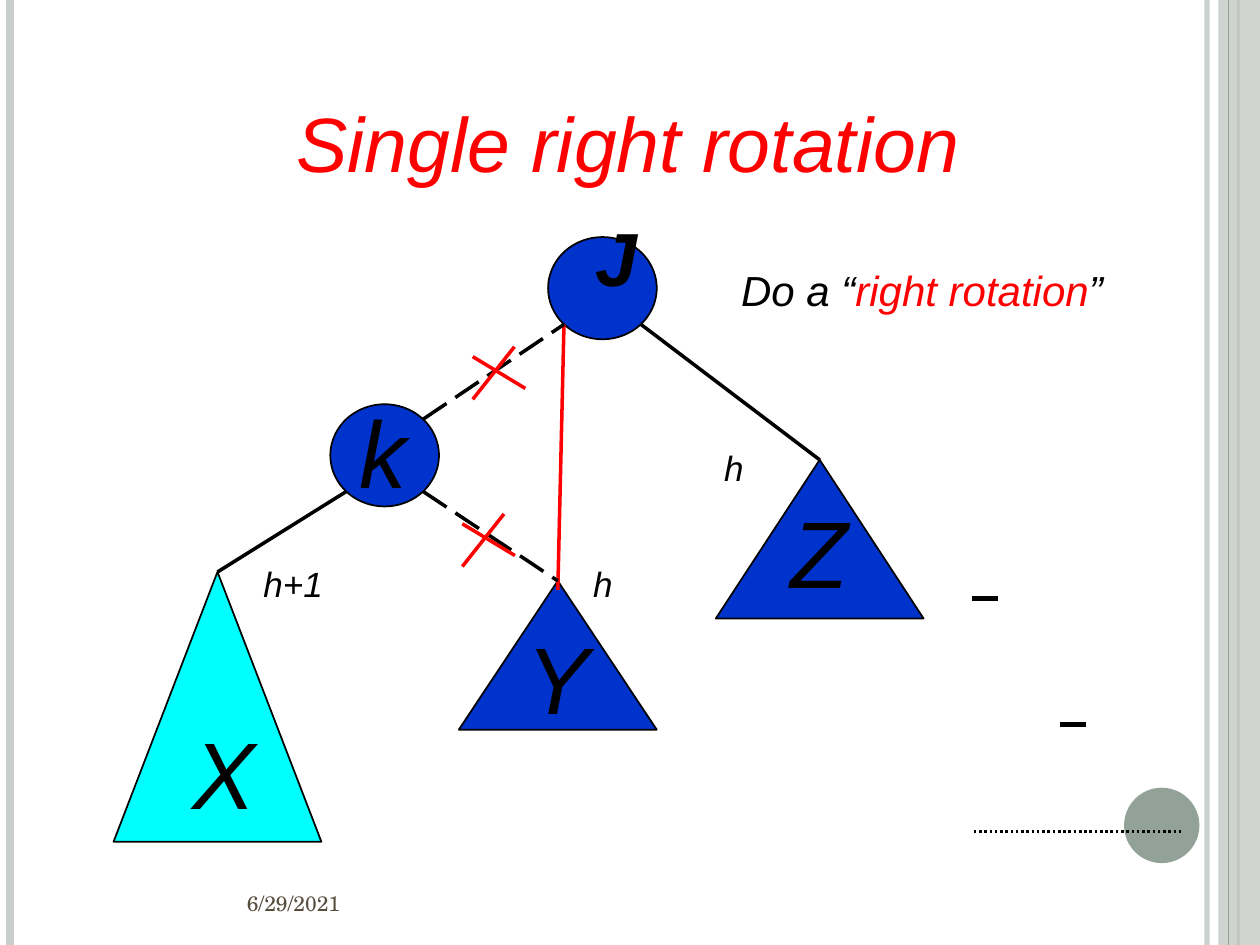
from dataclasses import dataclass

import lxml.etree
import pptx
import pptx.dml.color
import pptx.enum.dml
import pptx.enum.shapes
import pptx.enum.text
import pptx.oxml.ns
import pptx.util

Cm = pptx.util.Cm
Pt = pptx.util.Pt
Shapes = pptx.enum.shapes.MSO_SHAPE
Dashes = pptx.enum.dml.MSO_LINE
Align = pptx.enum.text.PP_ALIGN
Anchor = pptx.enum.text.MSO_ANCHOR


@dataclass(frozen=True)
class Theme:
    black: str = "000000"
    red: str = "FF0000"
    blue: str = "0033CC"
    cyan: str = "00FFFF"
    pale: str = "C8CECA"
    sage: str = "93A299"
    brown: str = "564B3C"
    font: str = "Arial"
    date_font: str = "TeX Gyre Schola"
    title_size: int = 44
    node_size: int = 54
    capital_size: int = 43
    note_size: int = 24
    height_size: int = 20
    date_size: int = 12


THEME = Theme()


def rgb(color):
    return pptx.dml.color.RGBColor.from_string(color)


def add_element(parent, tag, **attributes):
    element = lxml.etree.SubElement(parent, pptx.oxml.ns.qn(tag))
    for name, value in attributes.items():
        element.set(name, str(value))
    return element


def set_opacity(properties, percent):
    for color in properties.iter(pptx.oxml.ns.qn("a:srgbClr")):
        add_element(color, "a:alpha", val=percent * 1000)


def draw_line(slide, start, end, color=THEME.black, width=2, dash=None):
    connector = slide.shapes.add_connector(
        pptx.enum.shapes.MSO_CONNECTOR.STRAIGHT, *map(Cm, (*start, *end)))
    connector.line.color.rgb = rgb(color)
    connector.line.width = Pt(width)
    if dash:
        connector.line.dash_style = dash
    add_element(connector._element.spPr, "a:effectLst")
    return connector


def draw_shape(slide, kind, box, fill, outline=None):
    shape = slide.shapes.add_shape(kind, *map(Cm, box))
    shape.shadow.inherit = False
    shape.fill.solid()
    shape.fill.fore_color.rgb = rgb(fill)
    if outline:
        shape.line.color.rgb = rgb(outline)
        shape.line.width = Pt(1)
    else:
        shape.line.fill.background()
    return shape


def prepare_frame(shape, **changes):
    formats = {"word_wrap": True, "margin_left": 0, "margin_right": 0,
               "margin_top": Cm(0.03), "margin_bottom": 0,
               "vertical_anchor": Anchor.TOP,
               "auto_size": pptx.enum.text.MSO_AUTO_SIZE.NONE}
    for name, value in {**formats, **changes}.items():
        setattr(shape.text_frame, name, value)
    return shape.text_frame


def add_run(paragraph, text, size, color=THEME.black, **changes):
    run = paragraph.add_run()
    run.text = text
    formats = {"name": THEME.font, "size": Pt(size), "italic": True, "bold": False}
    for name, value in {**formats, **changes}.items():
        setattr(run.font, name, value)
    run.font.color.rgb = rgb(color)


def add_text_box(slide, box, **frame_changes):
    return prepare_frame(slide.shapes.add_textbox(*map(Cm, box)), **frame_changes)


def add_label(slide, box, text, size, **changes):
    add_run(add_text_box(slide, box).paragraphs[0], text, size, **changes)


def set_tabs(paragraph, *positions):
    tab_list = add_element(paragraph._p.get_or_add_pPr(), "a:tabLst")
    for position in positions:
        add_element(tab_list, "a:tab", pos=int(Cm(position)), algn="l")


def draw_side_bands(slide, width, height):
    def rule(x, color, weight):
        return draw_line(slide, (x, 0), (x, height), color, weight)

    set_opacity(rule(width - 1.07, THEME.pale, 3)._element.spPr, 93)
    rule(0.2, THEME.pale, 4.5)
    rule(width - 0.43, THEME.sage, 1.5)
    band = draw_shape(slide, Shapes.RECTANGLE, (width - 0.84, 0, 0.84, height), THEME.pale)
    set_opacity(band._element.spPr, 87)
    rule(width - 0.63, THEME.sage, 0.75)
    draw_shape(slide, Shapes.OVAL, (width - 2.74, height - 3.17, 1.52, 1.52), THEME.sage)


def draw_title(slide, box):
    title = slide.shapes.title
    title.left, title.top, title.width, title.height = map(Cm, box)
    paragraph = prepare_frame(title).paragraphs[0]
    paragraph.alignment = Align.LEFT
    add_run(paragraph, "Single right rotation", THEME.title_size, THEME.red)


def circle_point(circle, right, bottom):
    """Point on the circle on the diagonal towards one corner of its box."""
    left, top, width, height = circle
    return (left + width * (0.854 if right else 0.146),
            top + height * (0.854 if bottom else 0.146))


def apex(triangle):
    left, top, width, _ = triangle
    return left + width / 2, top


def draw_cross(slide, left, top):
    for start, end in (((0, 0.2), (1.06, 0.84)), ((0.84, 0), (0, 1.06))):
        draw_line(slide, (left + start[0], top + start[1]),
                  (left + end[0], top + end[1]), THEME.red)


def draw_tree(slide, left, top):
    def place(x, y, *size):
        return (left + x, top + y, *size)

    node_j, node_k = place(8.76, 0, 2.19, 2.06), place(4.37, 3.37, 2.19, 2.06)
    tree_x = place(0, 6.75, 4.19, 5.44)
    tree_y = place(6.96, 6.93, 3.99, 3)
    tree_z = place(12.14, 4.49, 4.19, 3.2)
    for kind, box, fill in ((Shapes.OVAL, node_j, THEME.blue),
                            (Shapes.OVAL, node_k, THEME.blue),
                            (Shapes.ISOSCELES_TRIANGLE, tree_x, THEME.cyan),
                            (Shapes.ISOSCELES_TRIANGLE, tree_z, THEME.blue),
                            (Shapes.ISOSCELES_TRIANGLE, tree_y, THEME.blue)):
        draw_shape(slide, kind, box, fill, THEME.black)

    j_left = circle_point(node_j, False, True)
    y_apex = apex(tree_y)
    draw_line(slide, circle_point(node_k, False, True), apex(tree_x))
    draw_line(slide, circle_point(node_j, True, True), apex(tree_z))
    draw_line(slide, j_left, (y_apex[0], y_apex[1] + 0.18), THEME.red)
    for bottom, end in ((False, j_left), (True, y_apex)):
        draw_line(slide, circle_point(node_k, True, bottom), end, dash=Dashes.LONG_DASH)
    for x, y in ((7.24, 2.21), (7.03, 5.58)):
        draw_cross(slide, *place(x, y))

    add_label(slide, place(9.72, -0.56, 0.9, 2.36), "J", THEME.capital_size, bold=True)
    for text, box, size in (("k", (4.95, 3.14, 1.02, 2.36), THEME.node_size),
                            ("X", (1.6, 9.6, 1.35, 2.36), THEME.node_size),
                            ("h", (12.31, 4.19, 0.46, 0.91), THEME.height_size),
                            ("h+1", (3.02, 6.52, 1.4, 0.91), THEME.height_size)):
        add_label(slide, place(*box), text, size)

    frame = add_text_box(slide, place(8.33, 6.4, 1.73, 3.66), margin_top=Cm(0.15))
    frame.paragraphs[0].alignment = Align.RIGHT
    add_run(frame.paragraphs[0], "h", THEME.height_size)
    paragraph = frame.add_paragraph()
    paragraph.space_before = Pt(9.4)
    add_run(paragraph, "Y", THEME.node_size)


def draw_z_levels(slide, left, top):
    """Letter Z with the underlined level marks to its right."""
    frame = add_text_box(slide, (left, top, 8.46, 5.18), margin_top=Cm(0.3))
    first = frame.paragraphs[0]
    set_tabs(first, 3.66, 8.41)
    add_run(first, "Z\t", THEME.node_size)
    add_run(first, " \t", THEME.node_size, underline=True)
    second = frame.add_paragraph()
    second._p.get_or_add_pPr().set("marL", str(int(Cm(3.63))))
    set_tabs(second, 8.38)
    second.alignment = Align.CENTER
    second.space_before = Pt(7.6)
    add_run(second, " \t", THEME.node_size, underline=True)
    draw_line(slide, (left + 3.7, top + 7.11), (left + 7.88, top + 7.11),
              width=1.5, dash=Dashes.ROUND_DOT)


def draw_note(slide, box):
    paragraph = add_text_box(slide, box).paragraphs[0]
    for text, color in (("Do a “", THEME.black), ("right rotation", THEME.red),
                        ("”", THEME.black)):
        add_run(paragraph, text, THEME.note_size, color)


def draw_date(slide, box):
    frame = add_text_box(slide, box, margin_right=Cm(0.25), vertical_anchor=Anchor.MIDDLE)
    frame.paragraphs[0].alignment = Align.RIGHT
    add_run(frame.paragraphs[0], "6/29/2021", THEME.date_size, THEME.brown,
            name=THEME.date_font, italic=False)


def main():
    presentation = pptx.Presentation()
    presentation.slide_width, presentation.slide_height = Cm(25.4), Cm(19.05)
    slide = presentation.slides.add_slide(presentation.slide_layouts[5])
    draw_side_bands(slide, 25.4, 19.05)
    draw_title(slide, (5.97, 1.9, 13.7, 1.93))
    draw_tree(slide, 2.29, 4.78)
    draw_z_levels(slide, 15.93, 9.65)
    draw_note(slide, (14.94, 5.31, 7.6, 1.09))
    draw_date(slide, (1.27, 17.7, 5.84, 0.97))
    presentation.save("out.pptx")


if __name__ == "__main__":
    main()
